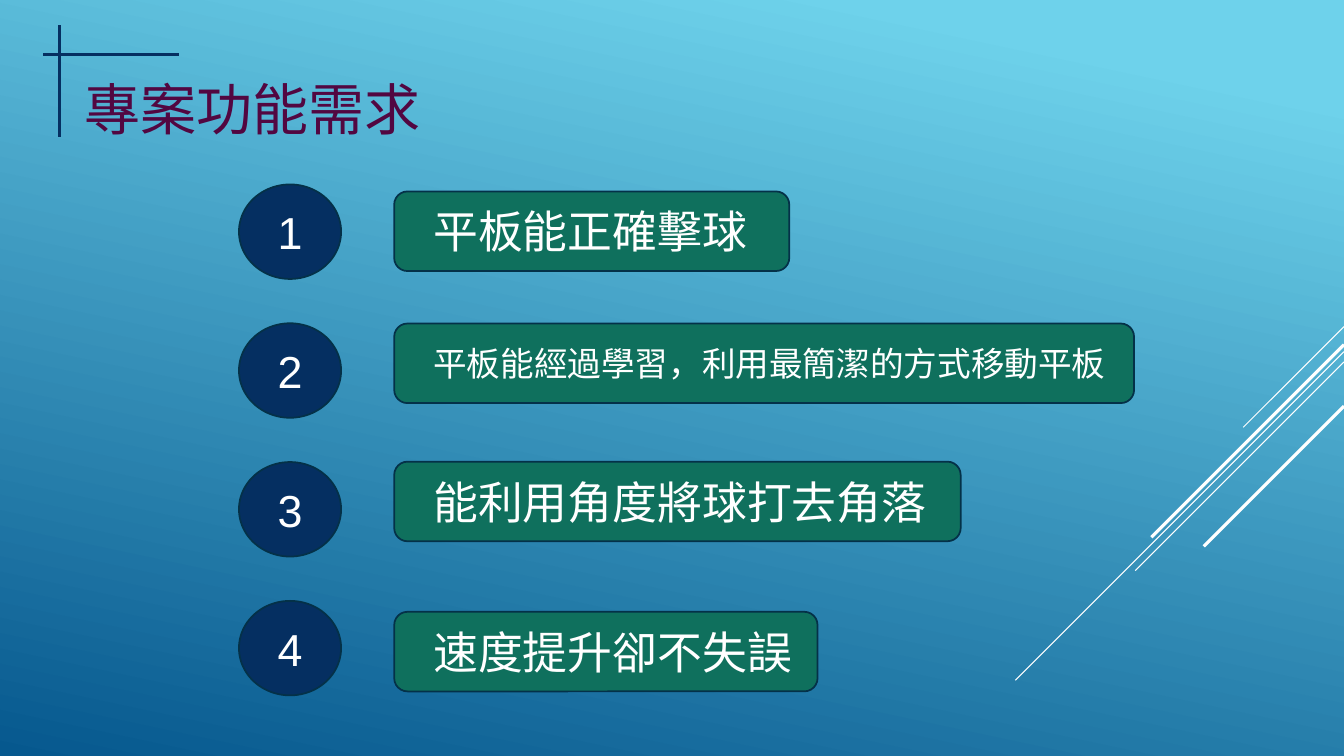
from typing import NamedTuple

from lxml.etree import SubElement
from pptx import Presentation
from pptx.dml.color import RGBColor
from pptx.enum.shapes import MSO_CONNECTOR, MSO_SHAPE
from pptx.enum.text import MSO_ANCHOR as Anchor, MSO_AUTO_SIZE as AutoSize, PP_ALIGN as Align
from pptx.oxml.ns import qn
from pptx.util import Inches, Pt

NAVY, GREEN, OUTLINE, WHITE, PLUM = "052F61", "0F705D", "043148", "FFFFFF", "520741"
SKY, OCEAN = "6ED2EB", "06588E"
TEXT_FONT, NUMBER_FONT = "League Spartan", "Arial"

# Lengths are percentages of the slide's width (across) or height (down).
NUMBER_LEFT, NUMBER_WIDTH, NUMBER_HEIGHT = 17.78, 7.6, 12.5
FIRST_NUMBER_TOP, NUMBER_STEP = 24.4, 18.36
BANNER_LEFT, BANNER_HEIGHT = 29.33, 10.53
WORDING_LEFT = 31.5


class Requirement(NamedTuple):
    """One numbered requirement with its banner."""
    wording: str
    banner_top: float
    banner_width: float
    wording_width: float
    wording_height: float = 8.53
    size: int = 32
    wrap: bool = False


class Ray(NamedTuple):
    """A diagonal that falls at 45 degrees from the right edge."""
    top: float
    run: float
    weight: float


REQUIREMENTS = [
    Requirement("平板能正確擊球", 25.33, 29.4, 25.05),
    Requirement("平板能經過學習，利用最簡潔的方式移動平板", 42.8, 55.05, 51.98, 6.67, 24),
    Requirement("能利用角度將球打去角落", 61.07, 42.15, 38.55),
    Requirement("速度提升卻不失誤", 80.93, 31.5, 28.43, wrap=True),
]
RAYS = [
    Ray(43.2, 7.5, 0.75),
    Ray(46.53, 24.45, 0.75),
    Ray(47.87, 15.53, 0.75),
    Ray(45.6, 14.33, 2.25),
    Ray(53.73, 10.43, 2.25),
]

deck = Presentation()
deck.slide_width, deck.slide_height = Inches(13.33), Inches(7.5)
slide = deck.slides.add_slide(deck.slide_layouts[5])


def across(share: float) -> int:
    """Turn a percentage of the slide's width into a length."""
    return round(deck.slide_width * share / 100)


def down(share: float) -> int:
    """Turn a percentage of the slide's height into a length."""
    return round(deck.slide_height * share / 100)


def box(left: float, top: float, width: float, height: float) -> tuple:
    """Turn four percentages into a position and size."""
    return across(left), down(top), across(width), down(height)


def colour(code: str) -> RGBColor:
    """Turn a hex string into a colour."""
    return RGBColor.from_string(code)


def write(shape, text: str, font: str, size: int, code: str, align=Align.LEFT) -> None:
    """Set one line of formatted text."""
    shape.text_frame.text = text
    paragraph = shape.text_frame.paragraphs[0]
    paragraph.alignment = align
    style = paragraph.runs[0].font
    style.name, style.size, style.color.rgb = font, Pt(size), colour(code)


def fit(shape, wrap: bool) -> None:
    """Let a text shape grow with its text, from the top."""
    frame = shape.text_frame
    frame.word_wrap, frame.auto_size = wrap, AutoSize.SHAPE_TO_FIT_TEXT
    frame.vertical_anchor = Anchor.TOP


def add_panel(kind, place: tuple, fill: str):
    """Add a filled, outlined shape without a shadow."""
    panel = slide.shapes.add_shape(kind, *place)
    panel.shadow.inherit = False
    panel.fill.solid()
    panel.fill.fore_color.rgb = colour(fill)
    panel.line.color.rgb, panel.line.width = colour(OUTLINE), Pt(1.25)
    return panel


def add_line(start: tuple, end: tuple, code: str, weight: float) -> None:
    """Add a straight line without a shadow."""
    line = slide.shapes.add_connector(MSO_CONNECTOR.STRAIGHT, *start, *end)
    line.line.color.rgb, line.line.width = colour(code), Pt(weight)
    SubElement(line._element.spPr, qn("a:effectLst"))


def add_requirement(index: int, item: Requirement) -> None:
    """Add a number disc, its banner and the wording centred on the banner's height."""
    add_panel(MSO_SHAPE.ROUNDED_RECTANGLE,
              box(BANNER_LEFT, item.banner_top, item.banner_width, BANNER_HEIGHT), GREEN)
    disc = add_panel(MSO_SHAPE.OVAL,
                     box(NUMBER_LEFT, FIRST_NUMBER_TOP + index * NUMBER_STEP,
                         NUMBER_WIDTH, NUMBER_HEIGHT), NAVY)
    disc.text_frame.vertical_anchor = Anchor.MIDDLE
    write(disc, str(index + 1), NUMBER_FONT, 32, WHITE, Align.CENTER)
    wording_top = item.banner_top + (BANNER_HEIGHT - item.wording_height) / 2
    wording = slide.shapes.add_textbox(
        *box(WORDING_LEFT, wording_top, item.wording_width, item.wording_height))
    write(wording, item.wording, TEXT_FONT, item.size, WHITE)
    fit(wording, item.wrap)


def paint_background() -> None:
    """Fill the background with the sky-to-ocean gradient."""
    fill = slide.background.fill
    fill.gradient()
    fill.gradient_angle = 360 - 102
    for stop, position, code in zip(fill.gradient_stops, (0.1, 1), (SKY, OCEAN)):
        stop.position, stop.color.rgb = position, colour(code)


def place_title() -> None:
    """Move and format the title."""
    title = slide.shapes.title
    title.left, title.top, title.width, title.height = box(5.55, 9.2, 26.78, 10.27)
    write(title, "專案功能需求", TEXT_FONT, 40, PLUM)
    fit(title, wrap=False)


paint_background()
place_title()
for ray in RAYS:
    run = across(ray.run)
    add_line((across(100), down(ray.top)),
             (across(100) - run, down(ray.top) + run), WHITE, ray.weight)
for index, item in enumerate(REQUIREMENTS):
    add_requirement(index, item)
add_line((across(3.23), down(7.2)), (across(13.35), down(7.2)), NAVY, 2.25)
add_line((across(4.43), down(3.33)), (across(4.43), down(18.13)), NAVY, 2.25)

deck.save("out.pptx")
